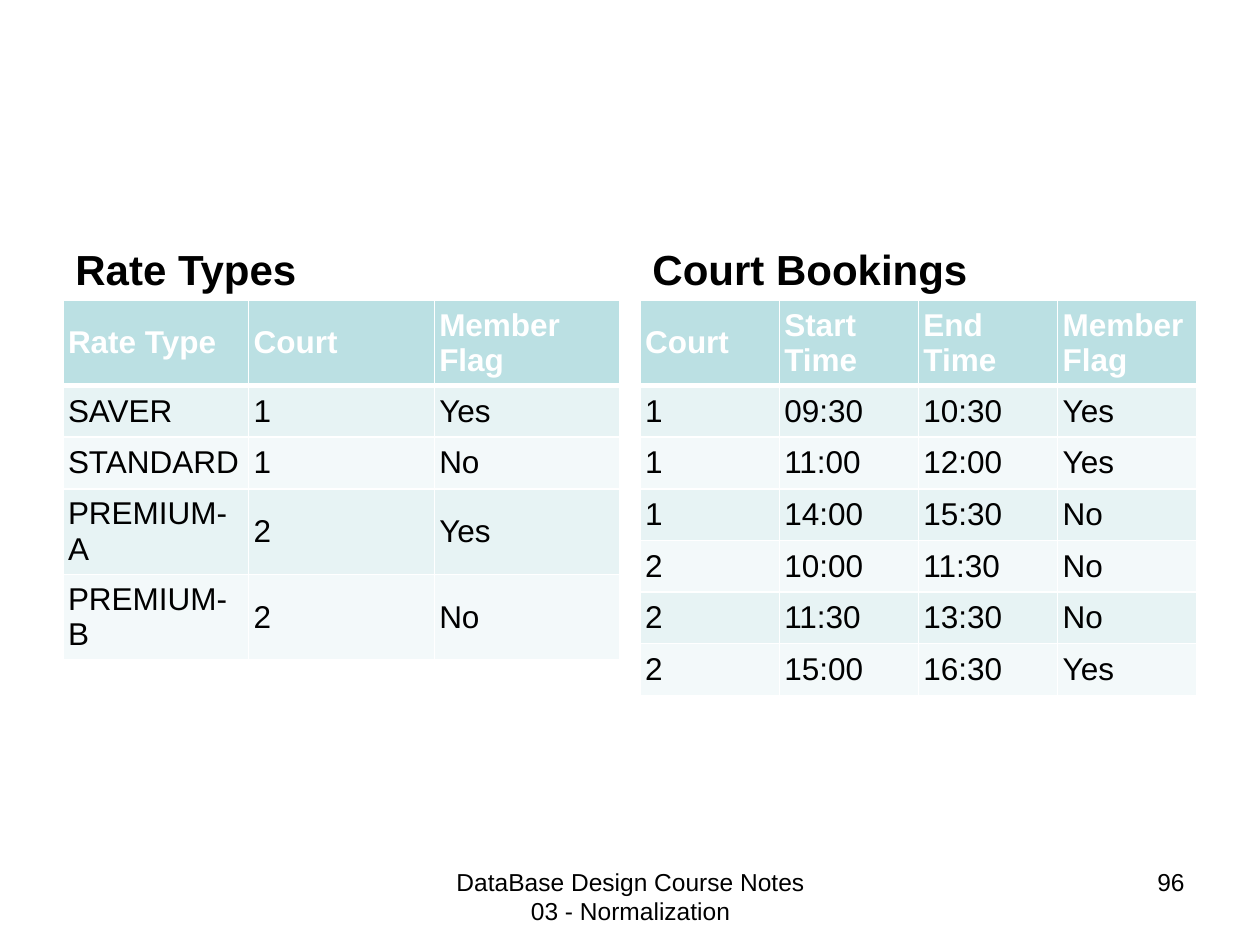
"""Build a slide with the Rate Types and Court Bookings tables side by side."""
from dataclasses import dataclass

from lxml.etree import Element, SubElement
from pptx import Presentation
from pptx.dml.color import RGBColor
from pptx.enum.text import MSO_ANCHOR as Anchor, PP_ALIGN as Align
from pptx.oxml.ns import qn
from pptx.slide import Slide
from pptx.table import _Cell as Cell
from pptx.text.text import TextFrame
from pptx.util import Inches, Pt

BLACK, WHITE = "000000", "FFFFFF"
HEADER_FILL = "BBE0E3"
BAND_FILLS = ("E7F3F4", "F3F9FA")
PANEL_WIDTH, ROW_HEIGHT = 4.42, 0.41
TITLE_TOP, TITLE_HEIGHT = 1.68, 0.7
FOOTER_TOP, FOOTER_HEIGHT = 6.83, 0.52
CELL_INSET = Inches(0.04)


@dataclass
class Panel:
    title: str
    left: float
    rows: list[tuple[str, ...]]


PANELS = [
    Panel("Rate Types", 0.5, [
        ("Rate Type", "Court", "Member Flag"),
        ("SAVER", "1", "Yes"),
        ("STANDARD", "1", "No"),
        ("PREMIUM-A", "2", "Yes"),
        ("PREMIUM-B", "2", "No"),
    ]),
    Panel("Court Bookings", 5.08, [
        ("Court", "Start Time", "End Time", "Member Flag"),
        ("1", "09:30", "10:30", "Yes"),
        ("1", "11:00", "12:00", "Yes"),
        ("1", "14:00", "15:30", "No"),
        ("2", "10:00", "11:30", "No"),
        ("2", "11:30", "13:30", "No"),
        ("2", "15:00", "16:30", "Yes"),
    ]),
]


def rgb(value: str) -> RGBColor:
    return RGBColor.from_string(value)


def write(frame: TextFrame, text: str, *, size: float, color: str = BLACK,
          bold: bool = False, align: Align = Align.LEFT) -> None:
    frame.word_wrap = True
    paragraph = frame.paragraphs[0]
    paragraph.alignment = align
    run = paragraph.add_run()
    run.text = text
    font = run.font
    font.name, font.size, font.bold = "Arial", Pt(size), bold
    font.color.rgb = rgb(color)


def add_label(slide: Slide, text: str, left: float, top: float, width: float,
              height: float, anchor: Anchor = Anchor.TOP, **text_format) -> None:
    box = slide.shapes.add_textbox(*map(Inches, (left, top, width, height)))
    box.text_frame.vertical_anchor = anchor
    write(box.text_frame, text, **text_format)


def set_borders(cell: Cell, top: float, bottom: float) -> None:
    properties = cell._tc.get_or_add_tcPr()
    sides = {"lnL": 1, "lnR": 1, "lnT": top, "lnB": bottom}
    for position, (side, width) in enumerate(sides.items()):
        line = Element(qn(f"a:{side}"), w=str(Pt(width)))
        fill = SubElement(line, qn("a:solidFill"))
        SubElement(fill, qn("a:srgbClr"), val=WHITE)
        properties.insert(position, line)


def fill_cell(cell: Cell, text: str, row: int) -> None:
    header = row == 0
    cell.margin_left = cell.margin_right = CELL_INSET
    cell.margin_top = cell.margin_bottom = CELL_INSET
    cell.vertical_anchor = Anchor.MIDDLE
    cell.fill.solid()
    cell.fill.fore_color.rgb = rgb(HEADER_FILL if header else BAND_FILLS[(row - 1) % 2])
    set_borders(cell, top=3 if row == 1 else 1, bottom=3 if header else 1)
    write(cell.text_frame, text, size=18, color=WHITE if header else BLACK, bold=header)


def add_panel(slide: Slide, panel: Panel) -> None:
    add_label(slide, panel.title, panel.left, TITLE_TOP, PANEL_WIDTH, TITLE_HEIGHT,
              anchor=Anchor.BOTTOM, size=24, bold=True)
    row_count, column_count = len(panel.rows), len(panel.rows[0])
    table = slide.shapes.add_table(
        row_count, column_count, Inches(panel.left), Inches(TITLE_TOP + TITLE_HEIGHT),
        Inches(PANEL_WIDTH), Inches(ROW_HEIGHT * row_count)).table
    for row, values in enumerate(panel.rows):
        for column, value in enumerate(values):
            fill_cell(table.cell(row, column), value, row)


def main() -> None:
    deck = Presentation()
    deck.slide_width, deck.slide_height = Inches(10), Inches(7.5)
    slide = deck.slides.add_slide(deck.slide_layouts[6])
    for panel in PANELS:
        add_panel(slide, panel)
    add_label(slide, "DataBase Design Course Notes 03 - Normalization",
              3.42, FOOTER_TOP, 3.17, FOOTER_HEIGHT, size=14, align=Align.CENTER)
    add_label(slide, "96", 7.17, FOOTER_TOP, 2.33, FOOTER_HEIGHT,
              size=14, align=Align.RIGHT)
    deck.save("out.pptx")


if __name__ == "__main__":
    main()
